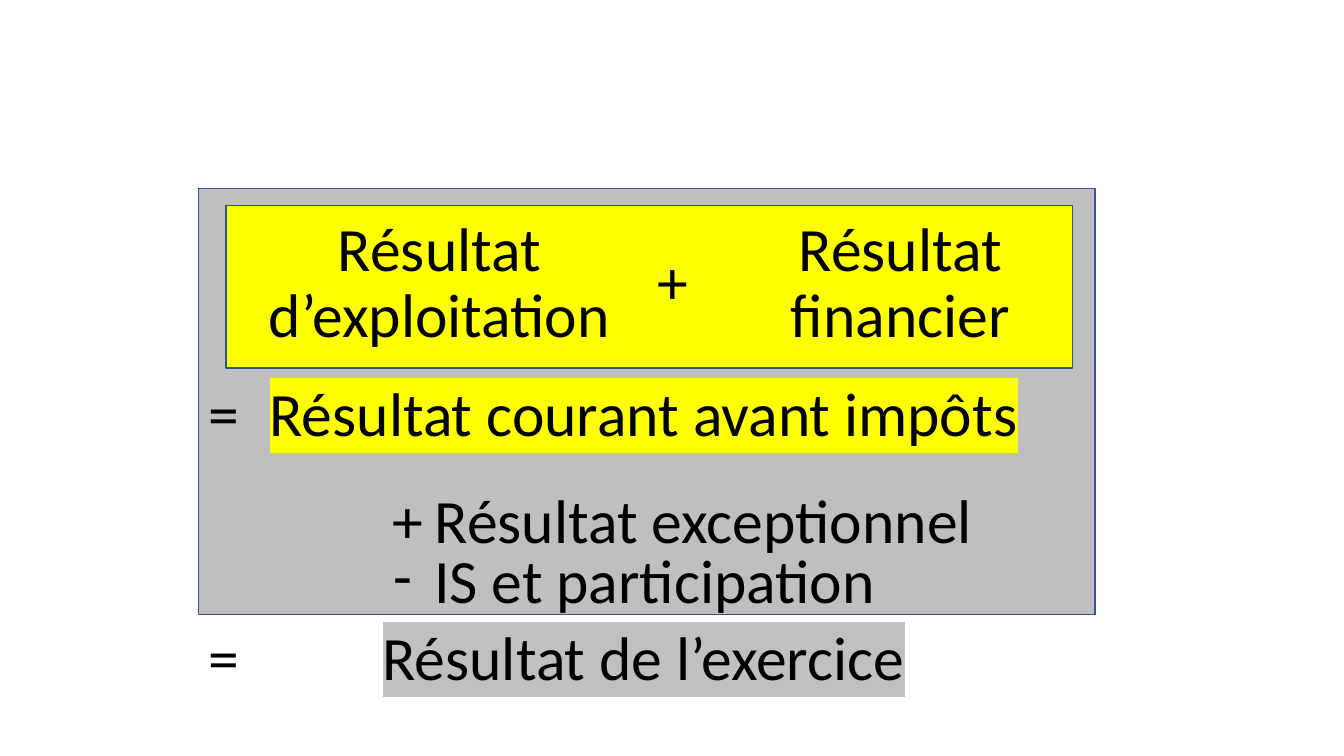
from dataclasses import dataclass

from lxml.etree import SubElement
from pptx import Presentation
from pptx.dml.color import RGBColor
from pptx.enum.shapes import MSO_SHAPE
from pptx.enum.text import MSO_ANCHOR, PP_ALIGN
from pptx.oxml.ns import qn
from pptx.util import Inches, Pt


@dataclass(frozen=True)
class Theme:
    """Colours, font and sizes of the slide."""
    font: str = "Calibri"
    text_size: float = 44
    line_spacing: float = 0.9
    outline_width: float = 1
    text: str = "000000"
    outline: str = "325491"
    total_panel: str = "BFBFBF"
    total_highlight: str = "C0C0C0"
    current: str = "FFFF00"


THEME = Theme()
ROW_HEIGHT = 0.77
SIGN_WIDTH = 0.56
EQUALS_LEFT = 1.97
RESULT_LEFT, RESULT_WIDTH = 2.24, 8.29


def add_panel(page, left, top, width, height, fill):
    """Draw an outlined rectangle behind a group of results."""
    panel = page.shapes.add_shape(
        MSO_SHAPE.RECTANGLE, Inches(left), Inches(top), Inches(width), Inches(height))
    panel.shadow.inherit = False
    panel.fill.solid()
    panel.fill.fore_color.rgb = RGBColor.from_string(fill)
    panel.line.color.rgb = RGBColor.from_string(THEME.outline)
    panel.line.width = Pt(THEME.outline_width)


def highlight(span, colour):
    """Set the background colour of a run that already has its text colour."""
    properties = span.font._element if hasattr(span.font, "_element") else span._r.get_or_add_rPr()
    mark = SubElement(properties, qn("a:highlight"))
    SubElement(mark, qn("a:srgbClr")).set("val", colour)
    properties.find(qn("a:solidFill")).addnext(mark)


def add_text(page, text, left, top, width, height=ROW_HEIGHT,
             align=PP_ALIGN.CENTER, background=None):
    """Add one line of the calculation, centred vertically in its box."""
    box = page.shapes.add_textbox(Inches(left), Inches(top), Inches(width), Inches(height))
    frame = box.text_frame
    frame.word_wrap = True
    frame.vertical_anchor = MSO_ANCHOR.MIDDLE
    frame.text = text
    para = frame.paragraphs[0]
    para.alignment = align
    para.line_spacing = THEME.line_spacing
    span = para.runs[0]
    span.font.size = Pt(THEME.text_size)
    span.font.name = THEME.font
    span.font.color.rgb = RGBColor.from_string(THEME.text)
    if background:
        highlight(span, background)


def add_sign(page, sign, left, top, height=ROW_HEIGHT):
    """Add an operator of the calculation."""
    add_text(page, sign, left, top, SIGN_WIDTH, height, PP_ALIGN.LEFT)


def add_result(page, text, top, background):
    """Add an equals sign and the highlighted result it leads to."""
    add_text(page, text, RESULT_LEFT, top, RESULT_WIDTH, background=background)
    add_sign(page, "=", EQUALS_LEFT, top)


def main():
    """Build the slide and save the deck."""
    deck = Presentation()
    deck.slide_width, deck.slide_height = Inches(13.33), Inches(7.5)
    page = deck.slides.add_slide(deck.slide_layouts[6])

    add_panel(page, 1.97, 1.87, 8.89, 4.23, THEME.total_panel)
    add_panel(page, 2.24, 2.04, 8.4, 1.61, THEME.current)

    add_sign(page, "+", 6.42, 2.44)
    add_text(page, "Résultat d’exploitation", 2.48, 2.44, 3.76)
    add_text(page, "Résultat financier", 6.79, 2.44, 4.28)
    add_result(page, "Résultat courant avant impôts", 3.75, THEME.current)

    add_sign(page, "+", 3.79, 4.81)
    add_text(page, "Résultat exceptionnel", 3.91, 4.81, 6.14)
    add_sign(page, "-", 3.8, 5.31, 0.86)
    add_text(page, "IS et participation", 3.91, 5.4, 5.17)
    add_result(page, "Résultat de l’exercice", 6.17, THEME.total_highlight)

    deck.save("out.pptx")


if __name__ == "__main__":
    main()
